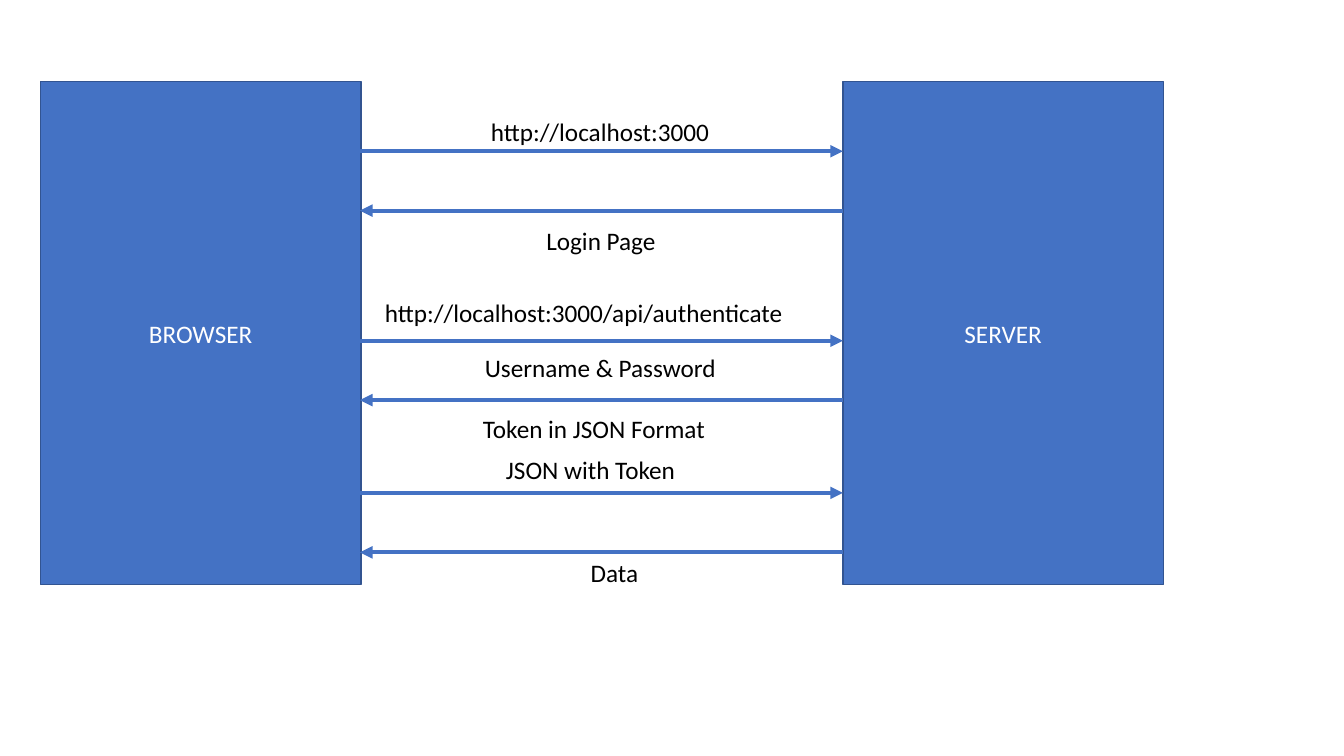
from lxml import etree
from pptx import Presentation
from pptx.dml.color import RGBColor
from pptx.enum import shapes, text
from pptx.oxml import ns
from pptx.util import Inches, Pt

BLUE = RGBColor(0x44, 0x72, 0xC4)
DARK_BLUE = RGBColor(0x32, 0x54, 0x91)
WHITE = RGBColor(0xFF, 0xFF, 0xFF)
BLACK = RGBColor(0, 0, 0)

BOX_TOP, BOX_WIDTH, BOX_HEIGHT = 0.81, 3.18, 4.99
PARTIES = [("BROWSER", 0.4), ("SERVER", 8.36)]  # name, left
BROWSER_EDGE, SERVER_EDGE = 3.57, 8.36
REQUEST_HEIGHTS = [1.5, 3.38, 4.89]
RESPONSE_GAP = 0.59
LABEL_HEIGHT = 0.4
LABELS = [  # wording, left, top, width
    ("http://localhost:3000", 4.77, 1.1, 2.4),
    ("Login Page", 5.32, 2.19, 1.3),
    ("http://localhost:3000/api/authenticate", 3.72, 2.9, 4.2),
    ("Username & Password", 4.71, 3.45, 2.51),
    ("Token in JSON Format", 4.69, 4.05, 2.43),
    ("JSON with Token", 4.92, 4.46, 1.9),
    ("Data", 5.76, 5.48, 0.68),
]


def write(shape, wording, color, alignment, frame_format):
    frame = shape.text_frame
    for name, value in frame_format.items():
        setattr(frame, name, value)
    paragraph = frame.paragraphs[0]
    paragraph.alignment = alignment
    run = paragraph.add_run()
    run.text = wording
    for name, value in {"name": "Calibri", "size": Pt(18)}.items():
        setattr(run.font, name, value)
    run.font.color.rgb = color


def add_party(slide, name, left):
    box = slide.shapes.add_shape(
        shapes.MSO_SHAPE.RECTANGLE,
        *map(Inches, (left, BOX_TOP, BOX_WIDTH, BOX_HEIGHT)))
    box.shadow.inherit = False
    box.fill.solid()
    box.fill.fore_color.rgb = BLUE
    box.line.color.rgb = DARK_BLUE
    box.line.width = Pt(1)
    write(box, name, WHITE, text.PP_ALIGN.CENTER,
          {"word_wrap": True, "vertical_anchor": text.MSO_ANCHOR.MIDDLE})


def add_arrow(slide, start, end, height):
    arrow = slide.shapes.add_connector(
        shapes.MSO_CONNECTOR.STRAIGHT,
        *map(Inches, (start, height, end, height)))
    arrow.line.color.rgb = BLUE
    arrow.line.width = Pt(3)
    etree.SubElement(arrow.line._get_or_add_ln(), ns.qn("a:tailEnd"), type="triangle")
    etree.SubElement(arrow._element.spPr, ns.qn("a:effectLst"))


def add_label(slide, wording, left, top, width):
    label = slide.shapes.add_textbox(
        *map(Inches, (left, top, width, LABEL_HEIGHT)))
    write(label, wording, BLACK, text.PP_ALIGN.LEFT,
          {"word_wrap": False, "auto_size": text.MSO_AUTO_SIZE.SHAPE_TO_FIT_TEXT})


def main():
    presentation = Presentation()
    presentation.slide_width = Inches(13.33)
    presentation.slide_height = Inches(7.5)
    slide = presentation.slides.add_slide(presentation.slide_layouts[6])
    for party in PARTIES:
        add_party(slide, *party)
    for height in REQUEST_HEIGHTS:
        add_arrow(slide, BROWSER_EDGE, SERVER_EDGE, height)
        add_arrow(slide, SERVER_EDGE, BROWSER_EDGE, height + RESPONSE_GAP)
    for label in LABELS:
        add_label(slide, *label)
    presentation.save("out.pptx")


if __name__ == "__main__":
    main()
